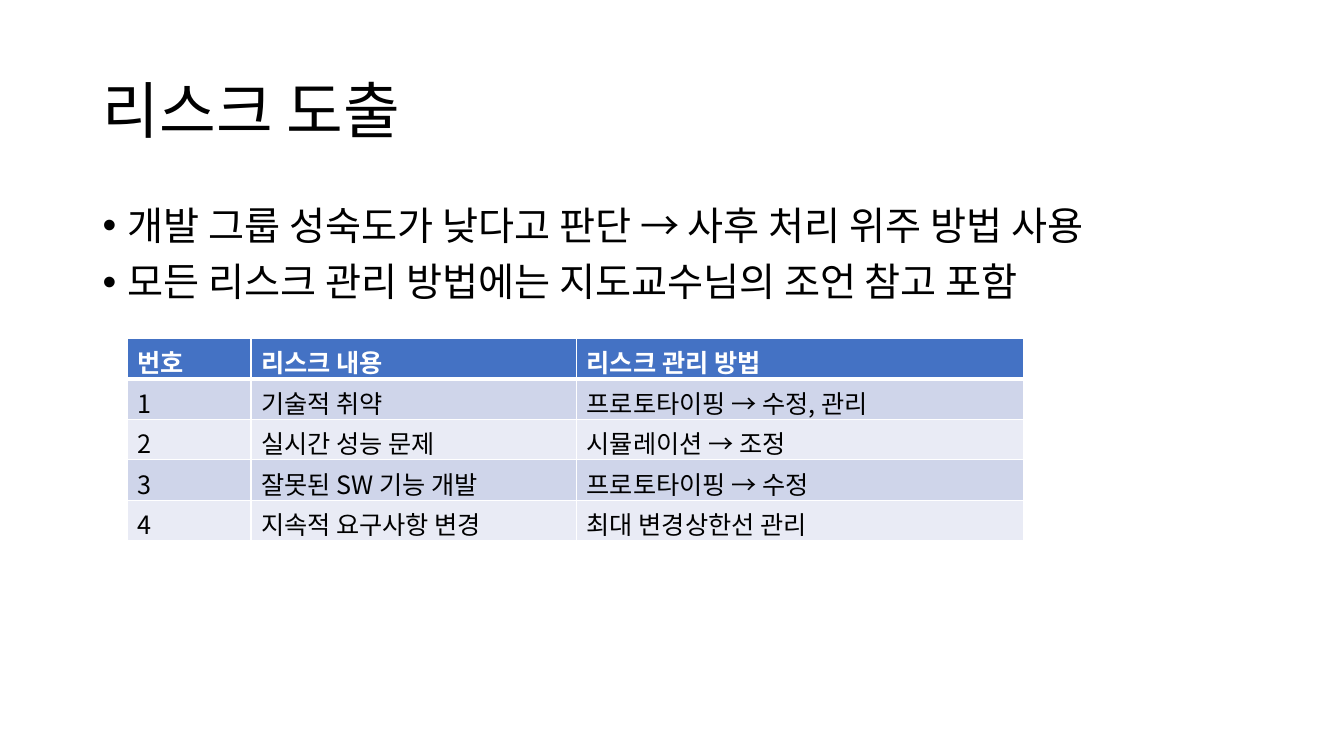
"""Build the slide on identified project risks and how each is managed."""
from pptx import Presentation
from pptx.dml.color import RGBColor
from pptx.enum.text import MSO_ANCHOR, PP_ALIGN
from pptx.oxml.ns import qn
from pptx.util import Inches, Pt
from lxml.etree import SubElement

TITLE = "리스크 도출"
POINTS = [
    "개발 그룹 성숙도가 낮다고 판단 → 사후 처리 위주 방법 사용",
    "모든 리스크 관리 방법에는 지도교수님의 조언 참고 포함",
]
RISKS = [
    ("번호", "리스크 내용", "리스크 관리 방법"),
    ("1", "기술적 취약", "프로토타이핑 → 수정, 관리"),
    ("2", "실시간 성능 문제", "시뮬레이션 → 조정"),
    ("3", "잘못된 SW 기능 개발", "프로토타이핑 → 수정"),
    ("4", "지속적 요구사항 변경", "최대 변경상한선 관리"),
]
COLUMN_WIDTHS = [1.23, 3.23, 4.43]
ROW_HEIGHT = 0.4
FONT = "Noto Sans CJK KR"
COLORS = {"text": "000000", "white": "FFFFFF", "header": "4472C4",
          "odd": "CFD5EA", "even": "E9EBF5"}


def style_text(para, size, color="text", bold=False):
    font = para.font
    font.name, font.size, font.bold = FONT, Pt(size), bold
    font.color.rgb = RGBColor.from_string(COLORS[color])
    defaults = para._p.get_or_add_pPr().find(qn("a:defRPr"))
    SubElement(defaults, qn("a:ea"), typeface=FONT)


def place(shape, left, top, width, height):
    shape.left, shape.top = Inches(left), Inches(top)
    shape.width, shape.height = Inches(width), Inches(height)


def add_title(slide):
    title = slide.shapes.title
    place(title, 0.92, 0.4, 11.5, 1.45)
    title.text_frame.text = TITLE
    title.text_frame.vertical_anchor = MSO_ANCHOR.MIDDLE
    para = title.text_frame.paragraphs[0]
    para.alignment = PP_ALIGN.LEFT
    para.line_spacing = 0.9
    style_text(para, 44)


def add_points(slide):
    box = slide.shapes.add_textbox(*map(Inches, (0.92, 2, 11.5, 4.76)))
    frame = box.text_frame
    frame.word_wrap = True
    frame.text = "\n".join(POINTS)
    for para in frame.paragraphs:
        para.line_spacing = 0.9
        para.space_before = Pt(10)
        props = para._p.get_or_add_pPr()
        props.set("marL", str(Inches(0.25)))
        props.set("indent", str(-Inches(0.25)))
        SubElement(props, qn("a:buFont"), typeface="Arial")
        SubElement(props, qn("a:buChar"), char="•")
        style_text(para, 28)


def add_borders(cell, bottom):
    props = cell._tc.get_or_add_tcPr()
    widths = {"a:lnL": 1, "a:lnR": 1, "a:lnT": 1, "a:lnB": bottom}
    for position, (side, width) in enumerate(widths.items()):
        line = SubElement(props, qn(side), w=str(Pt(width)))
        fill = SubElement(line, qn("a:solidFill"))
        SubElement(fill, qn("a:srgbClr"), val=COLORS["white"])
        props.insert(position, line)


def add_risk_table(slide):
    frame = slide.shapes.add_table(
        len(RISKS), len(COLUMN_WIDTHS), Inches(1.26), Inches(3.36),
        Inches(sum(COLUMN_WIDTHS)), Inches(ROW_HEIGHT * len(RISKS)))
    table = frame.table
    for column, width in zip(table.columns, COLUMN_WIDTHS):
        column.width = Inches(width)
    for row, texts in enumerate(RISKS):
        is_header = row == 0
        fill = "header" if is_header else "odd" if row % 2 else "even"
        for column, text in enumerate(texts):
            cell = table.cell(row, column)
            cell.text = text
            cell.fill.solid()
            cell.fill.fore_color.rgb = RGBColor.from_string(COLORS[fill])
            add_borders(cell, bottom=3 if is_header else 1)
            style_text(cell.text_frame.paragraphs[0], 18,
                       "white" if is_header else "text", is_header)


def main():
    deck = Presentation()
    deck.slide_width, deck.slide_height = Inches(13.33), Inches(7.5)
    slide = deck.slides.add_slide(deck.slide_layouts[5])
    add_title(slide)
    add_points(slide)
    add_risk_table(slide)
    deck.save("out.pptx")


if __name__ == "__main__":
    main()
